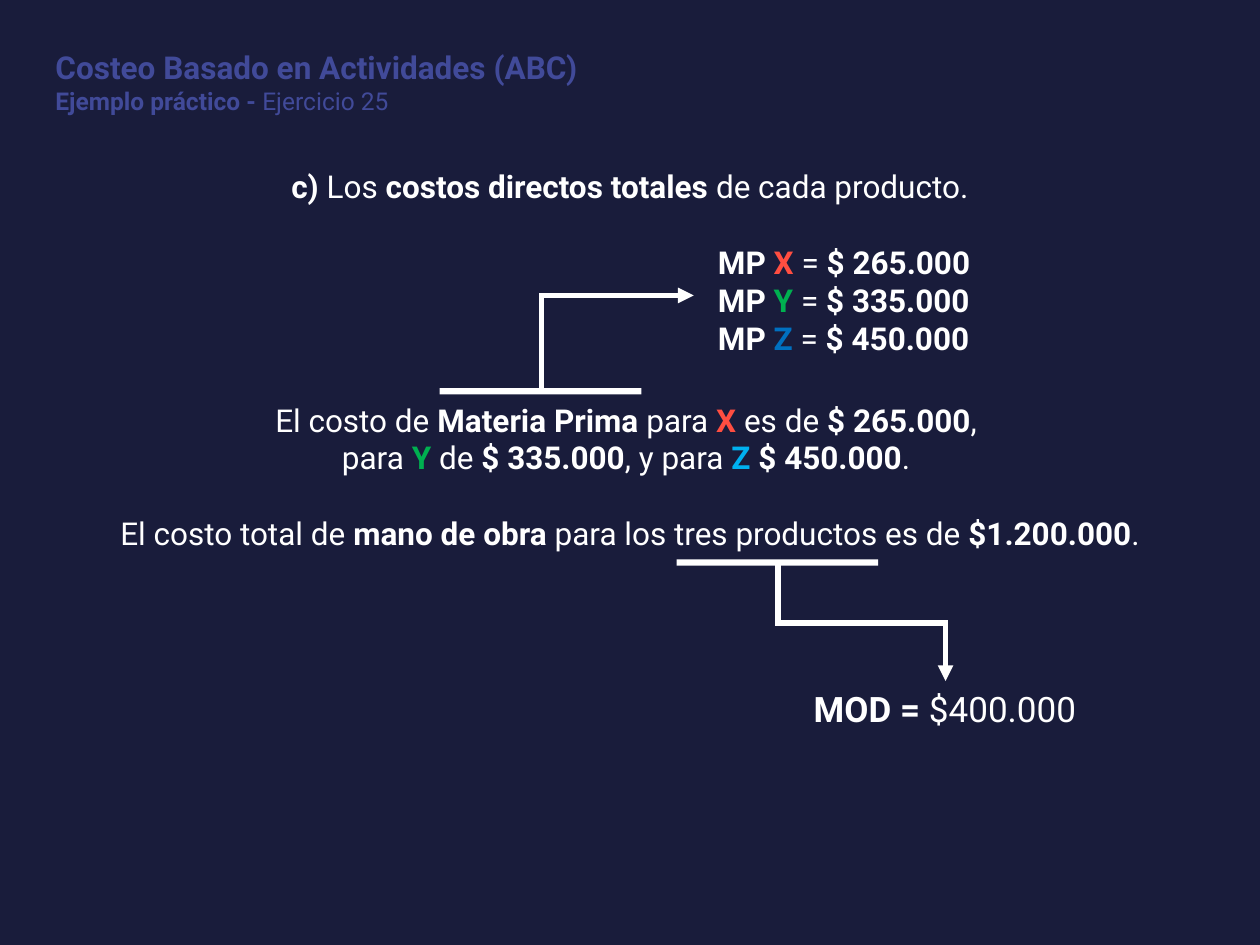
from lxml import etree
from pptx import Presentation
from pptx.dml.color import RGBColor
from pptx.enum.shapes import MSO_CONNECTOR, MSO_SHAPE
from pptx.enum.text import MSO_ANCHOR, PP_ALIGN
from pptx.oxml.ns import qn
from pptx.util import Inches, Pt

LEFT, CENTER = PP_ALIGN.LEFT, PP_ALIGN.CENTER
TOP = MSO_ANCHOR.TOP
ELBOW, RECTANGLE = MSO_CONNECTOR.ELBOW, MSO_SHAPE.RECTANGLE
FONT = "Roboto"
WHITE, NAVY, INDIGO = "FFFFFF", "191C3B", "414A99"
RED, GREEN, BLUE, SKY = "FF4E41", "00B050", "0070C0", "00B0F0"

HEADING = [
    [("Costeo Basado en Actividades (ABC)", True)],
    [("Ejemplo práctico - ", True), ("Ejercicio 25", False)],
]
QUESTION = [[("c) ", True), ("Los ", False), ("costos directos totales ", True),
             ("de cada producto.", False)]]
COSTS = [
    [("El costo de ", False), ("Materia Prima ", True), ("para ", False),
     ("X", True, RED), (" es de ", False), ("$ 265.000", True), (", ", False)],
    [("para ", False), ("Y", True, GREEN), (" de ", False), ("$ 335.000", True),
     (", y para ", False), ("Z ", True, SKY), ("$ 450.000", True), (". ", False)],
    [("El costo total de ", False), ("mano de obra ", True),
     ("para los tres productos es de ", False), ("$1.200.000", True), (".", False)],
]
MATERIALS = [("X", RED, "265.000"), ("Y", GREEN, "335.000"), ("Z", BLUE, "450.000")]
MATERIAL_LINES = [
    [("MP ", True), (product + " ", True, color), ("= ", False), ("$ " + amount, True)]
    for product, color, amount in MATERIALS
]
LABOR = [[("MOD = ", True), ("$400.000", False)]]
UNDERLINES = [(5.37, 4.44), (3.49, 3.08)]
ARROWS = [
    ("bentConnector3", (6.38, 4.28, 0.92, 1.33), {"rot": 270, "flipH": 1}),
    ("bentConnector2", (4.53, 2.11, 0.74, 1.21), {"rot": 90, "flipH": 1, "flipV": 1}),
]


def rgb(value):
    return RGBColor.from_string(value)


def write(box, lines, sizes=(18,), color=WHITE, align=CENTER, gaps=()):
    frame = box.text_frame
    frame.word_wrap = True
    frame.vertical_anchor = TOP
    for index, line in enumerate(lines):
        paragraph = frame.paragraphs[0] if index == 0 else frame.add_paragraph()
        paragraph.alignment = align
        if index < len(gaps) and gaps[index]:
            paragraph.space_before = Pt(gaps[index])
        for text, bold, *own_color in line:
            run = paragraph.add_run()
            run.text = text
            run.font.name = FONT
            run.font.size = Pt(sizes[min(index, len(sizes) - 1)])
            run.font.bold = bold
            run.font.color.rgb = rgb(own_color[0] if own_color else color)


def add_text(slide, place, lines, **style):
    write(slide.shapes.add_textbox(*map(Inches, place)), lines, **style)


def add_underline(slide, left, top):
    underline = slide.shapes.add_shape(
        RECTANGLE, Inches(left), Inches(top), Inches(1.6), Inches(0.05))
    underline.shadow.inherit = False
    underline.fill.solid()
    underline.fill.fore_color.rgb = rgb(WHITE)
    underline.line.fill.background()


def add_arrow(slide, preset, place, turn):
    left, top, width, height = place
    arrow = slide.shapes.add_connector(
        ELBOW, Inches(left), Inches(top), Inches(left + width), Inches(top + height))
    arrow.line.color.rgb = rgb(WHITE)
    arrow.line.width = Pt(3)
    properties = arrow._element.spPr
    properties.find(qn("a:prstGeom")).set("prst", preset)
    frame = properties.find(qn("a:xfrm"))
    for key, value in turn.items():
        frame.set(key, str(value * 60000 if key == "rot" else value))
    outline = properties.find(qn("a:ln"))
    etree.SubElement(outline, qn("a:miter"), lim="800000")
    etree.SubElement(outline, qn("a:tailEnd"), type="triangle")
    etree.SubElement(properties, qn("a:effectLst"))


def main():
    deck = Presentation()
    deck.slide_width, deck.slide_height = Inches(10), Inches(7.5)
    slide = deck.slides.add_slide(deck.slide_layouts[5])
    slide.background.fill.solid()
    slide.background.fill.fore_color.rgb = rgb(NAVY)

    heading = slide.shapes.title
    heading.left, heading.top = Inches(0.34), Inches(0.33)
    heading.width, heading.height = Inches(9), Inches(0.65)
    write(heading, HEADING, sizes=(18, 14), color=INDIGO, align=LEFT, gaps=(0, 0))

    add_text(slide, (0.53, 1.28, 8.94, 0.4), QUESTION)
    add_text(slide, (0.73, 3.13, 8.54, 1.31), COSTS, gaps=(0, 0, 21.5))
    add_text(slide, (5.92, 5.41, 3.16, 0.44), LABOR, sizes=(20,))
    add_text(slide, (5.6, 1.88, 2.74, 1.01), MATERIAL_LINES, align=LEFT)
    for left, top in UNDERLINES:
        add_underline(slide, left, top)
    for preset, place, turn in ARROWS:
        add_arrow(slide, preset, place, turn)
    deck.save("out.pptx")


if __name__ == "__main__":
    main()
